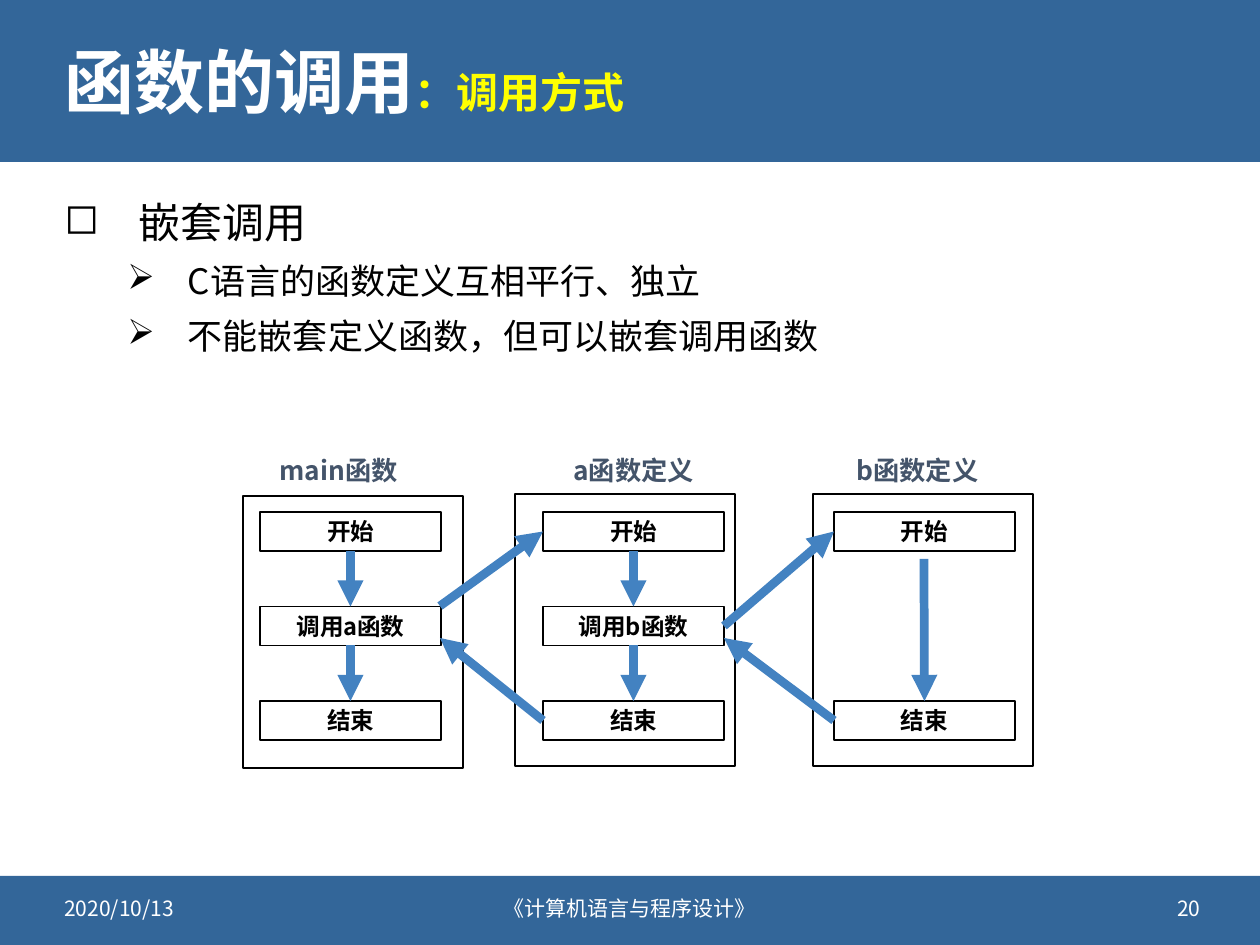
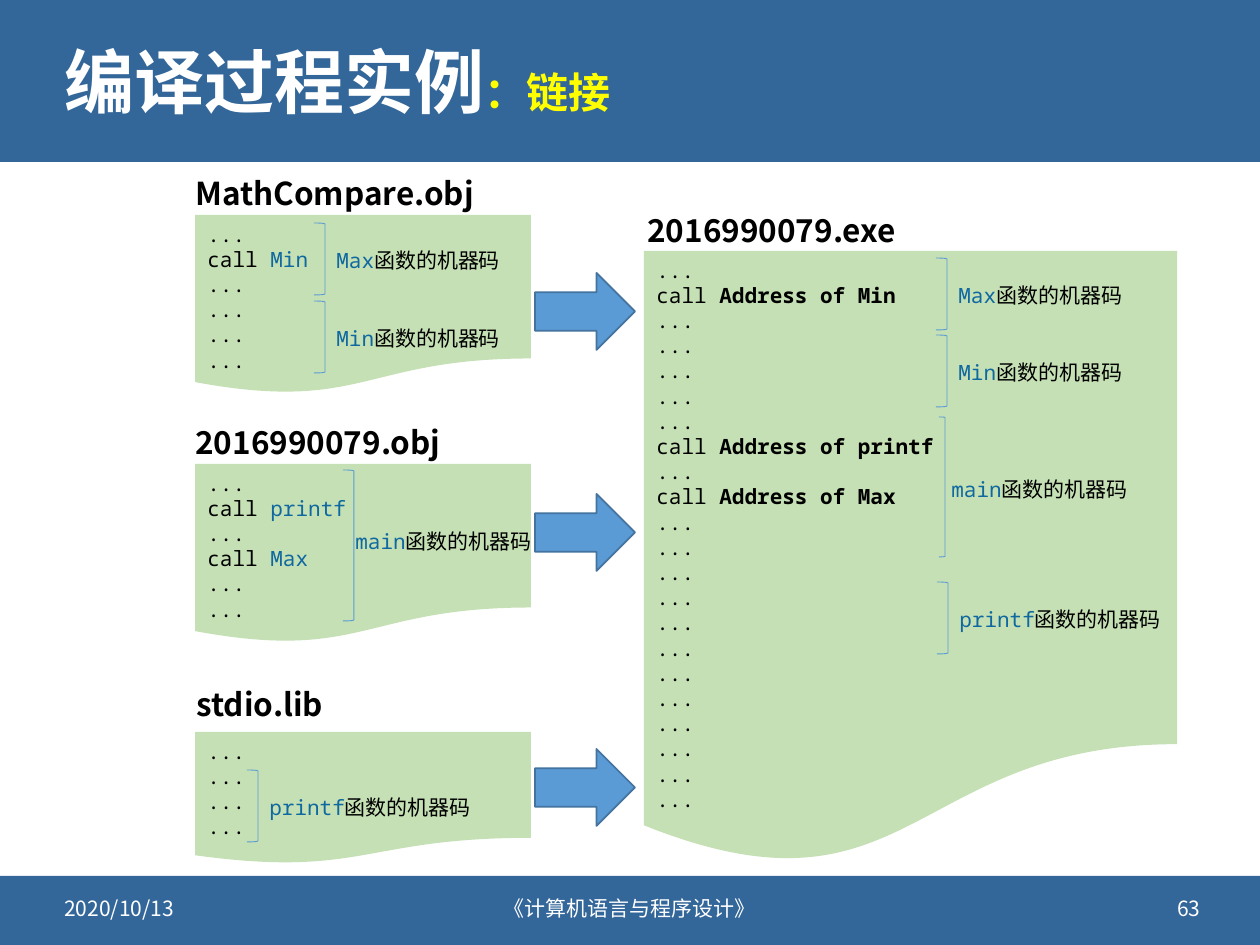
from typing import NamedTuple

from lxml.etree import SubElement
from pptx import Presentation
from pptx.dml.color import RGBColor
from pptx.enum.shapes import MSO_CONNECTOR, MSO_SHAPE
from pptx.enum.text import MSO_ANCHOR, PP_ALIGN
from pptx.oxml.ns import qn
from pptx.util import Inches, Pt

SANS = "Noto Sans CJK SC"
MONO = "Noto Sans Mono"

WHITE = RGBColor(0xFF, 0xFF, 0xFF)
BLACK = RGBColor(0x00, 0x00, 0x00)
YELLOW = RGBColor(0xFF, 0xFF, 0x00)
BAND_BLUE = RGBColor(0x33, 0x66, 0x99)
SLATE = RGBColor(0x44, 0x54, 0x6A)
FLOW_BLUE = RGBColor(0x43, 0x82, 0xC1)
SKY = RGBColor(0x5B, 0x9B, 0xD5)
SKY_EDGE = RGBColor(0x43, 0x73, 0x9E)
PAPER_GREEN = RGBColor(0xC5, 0xE0, 0xB4)
SYMBOL_BLUE = RGBColor(0x0F, 0x68, 0xA0)

TOP, LEFT, BOTTOM, RIGHT = range(4)


class Style(NamedTuple):
    size: float
    colour: RGBColor = BLACK
    font: str = SANS
    bold: bool = False


TITLE = Style(40, WHITE, bold=True)
SUBTITLE = Style(24, YELLOW, bold=True)
FOOTER = Style(12, WHITE)
STEP = Style(13.5, bold=True)
COLUMN_HEAD = Style(15, SLATE, bold=True)
FILE_NAME = Style(18, bold=True)
CODE = Style(12, font=MONO)
SYMBOL = Style(12, SYMBOL_BLUE, MONO)
ADDRESS = Style(12, font=MONO, bold=True)
NOTE = Style(12)


def px(length):
    return round(length * 914400 / 126)


class Deck:
    def __init__(self):
        self.presentation = Presentation()
        self.presentation.slide_width = Inches(10)
        self.presentation.slide_height = Inches(7.5)
        self.layout = self.presentation.slide_layouts[5]
        self.slide = None

    def new_slide(self, topic, aspect, number):
        self.slide = self.presentation.slides.add_slide(self.layout)
        if len(self.presentation.slides) == 1:
            self.add_bands()
        title = self.slide.shapes.title
        title.left, title.top, title.width, title.height = map(px, (52, 23, 1158, 125))
        self.fill_text(title, [[(topic, TITLE), (aspect, SUBTITLE)]],
                       anchor=MSO_ANCHOR.MIDDLE, spacing=0.9)
        for x, width, words, align in (
                (52, 302, "2020/10/13", PP_ALIGN.LEFT),
                (403, 454, "《计算机语言与程序设计》", PP_ALIGN.CENTER),
                (911, 302, str(number), PP_ALIGN.RIGHT)):
            self.label((x, 883, width, 50), [(words, FOOTER)], align, MSO_ANCHOR.MIDDLE)

    def add_bands(self):
        """Place both bands in the layout, behind its placeholders."""
        for number, (y, height) in enumerate(((0, 162), (876, 69))):
            band = self.shape(MSO_SHAPE.RECTANGLE, (0, y, 1260, height), BAND_BLUE)
            band.element.xpath(".//p:cNvPr")[0].set("id", str(100 + number))
            self.layout.shapes.element.insert(2 + number, band.element)

    def fill_text(self, shape, lines, align=PP_ALIGN.LEFT, anchor=MSO_ANCHOR.TOP,
                  spacing=None, wrap=True):
        """Fill a shape with lines, each a list of (words, style) runs."""
        frame = shape.text_frame
        frame.word_wrap = wrap
        frame.vertical_anchor = anchor
        for index, line in enumerate(lines):
            paragraph = frame.add_paragraph() if index else frame.paragraphs[0]
            paragraph.alignment = align
            if spacing:
                paragraph.line_spacing = spacing
            for words, style in line:
                run = paragraph.add_run()
                run.text = words
                run.font.size = Pt(style.size)
                run.font.bold = style.bold
                run.font.color.rgb = style.colour
                run.font.name = style.font
        for latin in list(shape.element.iter(qn("a:latin"))):
            east_asian = SubElement(latin.getparent(), qn("a:ea"))
            east_asian.set("typeface", latin.get("typeface"))
            latin.addnext(east_asian)

    def label(self, box, runs, align=PP_ALIGN.LEFT, anchor=MSO_ANCHOR.TOP, **options):
        text_box = self.slide.shapes.add_textbox(*map(px, box))
        self.fill_text(text_box, [runs], align, anchor, **options)

    def shape(self, kind, box, fill=None, line=None, weight=1):
        shape = self.slide.shapes.add_shape(kind, *map(px, box))
        shape.shadow.inherit = False
        if fill is None:
            shape.fill.background()
        else:
            shape.fill.solid()
            shape.fill.fore_color.rgb = fill
        if line is None:
            shape.line.fill.background()
        else:
            shape.line.color.rgb = line
            shape.line.width = Pt(weight)
        return shape

    def arrow(self, start, end):
        """Draw an arrow; each end is a point (x, y) or a pair (shape, site)."""
        arrow = self.slide.shapes.add_connector(MSO_CONNECTOR.STRAIGHT, 0, 0, 0, 0)
        if isinstance(start[0], int):
            arrow.begin_x, arrow.begin_y = map(px, start)
        else:
            arrow.begin_connect(*start)
        if isinstance(end[0], int):
            arrow.end_x, arrow.end_y = map(px, end)
        else:
            arrow.end_connect(*end)
        arrow.line.color.rgb = FLOW_BLUE
        arrow.line.width = Pt(5)
        properties = arrow.element.spPr
        SubElement(properties.find(qn("a:ln")), qn("a:tailEnd")).set("type", "triangle")
        SubElement(properties, qn("a:effectLst"))

    def bullets(self, box, items):
        """Add a bullet list from (level, words) items."""
        levels = ((0.59, 0.59, "◻", 24, 1.1), (0.98, 0.48, "➢", 20, 0.9))
        outline = self.slide.shapes.add_textbox(*map(px, box))
        self.fill_text(outline, [[(words, Style(levels[level][3]))] for level, words in items])
        for index, (paragraph, (level, _)) in enumerate(
                zip(outline.text_frame.paragraphs, items)):
            margin, hanging, mark, _, spacing = levels[level]
            paragraph.level = level
            properties = paragraph._p.get_or_add_pPr()
            properties.set("marL", str(Inches(margin)))
            properties.set("indent", str(-Inches(hanging)))
            colour = SubElement(properties, qn("a:buClr"))
            SubElement(colour, qn("a:srgbClr")).set("val", str(BLACK))
            SubElement(properties, qn("a:buChar")).set("char", mark)
            paragraph.line_spacing = spacing
            if index:
                paragraph.space_before = Pt(10)

    def step(self, x, row, words):
        box = self.shape(MSO_SHAPE.RECTANGLE, (x, 512 + 94.5 * row, 181, 39), line=BLACK)
        self.fill_text(box, [[(words, STEP)]], PP_ALIGN.CENTER, MSO_ANCHOR.MIDDLE, wrap=False)
        return box

    def code_file(self, name, name_box, sheet_box, code, target_style):
        sheet = self.shape(MSO_SHAPE.FLOWCHART_DOCUMENT, sheet_box, PAPER_GREEN)
        lines = []
        for line in code:
            if line.startswith("call "):
                lines.append([("call ", CODE), (line[len("call "):], target_style)])
            else:
                lines.append([(line, CODE)])
        self.fill_text(sheet, lines)
        self.label(name_box, [(name, FILE_NAME)])

    def machine_code(self, function, x, y, width=11, height=72, dx=10, dy=18):
        """Bracket the lines of a function and name them beside the bracket."""
        self.shape(MSO_SHAPE.RIGHT_BRACKET, (x, y, width, height), line=SKY, weight=0.5)
        self.label((x + dx, y + dy, int(153 + 12.5 * len(function)), 38),
                   [(function, SYMBOL), ("函数的机器码", NOTE)])


def nested_call_slide(deck):
    deck.new_slide("函数的调用", "：调用方式", 20)
    deck.bullets((52, 185, 1158, 665), [
        (0, "嵌套调用"),
        (1, "C语言的函数定义互相平行、独立"),
        (1, "不能嵌套定义函数，但可以嵌套调用函数"),
    ])
    functions = (
        ("main函数", (267, PP_ALIGN.LEFT), (243, 496), 260, ("开始", "调用a函数", "结束")),
        ("a函数定义", (543, PP_ALIGN.CENTER), (515, 494), 543, ("开始", "调用b函数", "结束")),
        ("b函数定义", (827, PP_ALIGN.CENTER), (813, 494), 834, ("开始", None, "结束")),
    )
    columns = []
    for heading, (heading_x, align), frame, step_x, steps in functions:
        deck.shape(MSO_SHAPE.RECTANGLE, (*frame, 220, 272), line=BLACK, weight=1.5)
        deck.label((heading_x, 456, 181, 32), [(heading, COLUMN_HEAD)], align,
                   MSO_ANCHOR.MIDDLE, spacing=0.9)
        columns.append([deck.step(step_x, row, words)
                        for row, words in enumerate(steps) if words])

    main_steps, a_steps, b_steps = columns
    for steps in (main_steps, a_steps):
        for upper, lower in zip(steps, steps[1:]):
            deck.arrow((upper, BOTTOM), (lower, TOP))
    deck.arrow((924, 559), (b_steps[-1], TOP))
    deck.arrow((440, 606), (a_steps[0], LEFT))
    deck.arrow((a_steps[1], RIGHT), (b_steps[0], LEFT))
    deck.arrow((b_steps[-1], LEFT), (724, 638))
    deck.arrow((a_steps[-1], LEFT), (440, 638))


def linking_slide(deck):
    deck.new_slide("编译过程实例", "：链接", 63)
    gap = "..."
    deck.code_file("MathCompare.obj", (183, 168, 314, 50), (195, 215, 336, 179),
                   [gap, "call Min"] + [gap] * 4, SYMBOL)
    deck.code_file("2016990079.obj", (183, 417, 280, 50), (195, 464, 336, 179),
                   [gap, "call printf", gap, "call Max", gap, gap], SYMBOL)
    deck.code_file("stdio.lib", (184, 679, 155, 50), (195, 732, 336, 132),
                   [gap] * 4, SYMBOL)
    deck.code_file("2016990079.exe", (635, 205, 286, 50), (644, 251, 533, 615),
                   [gap, "call Address of Min"] + [gap] * 5
                   + ["call Address of printf", gap, "call Address of Max"] + [gap] * 12,
                   ADDRESS)

    for function, x, y in (("Max", 314, 223), ("Min", 314, 301), ("printf", 247, 770),
                           ("Max", 936, 258), ("Min", 936, 335), ("printf", 937, 582)):
        deck.machine_code(function, x, y)
    deck.machine_code("main", 343, 470, height=151, dx=0, dy=52)
    deck.machine_code("main", 939, 417, width=6, height=140, dx=0, dy=53)

    for y in (273, 494, 749):
        deck.shape(MSO_SHAPE.RIGHT_ARROW, (535, y, 100, 77), SKY, SKY_EDGE)


def main():
    deck = Deck()
    nested_call_slide(deck)
    linking_slide(deck)
    deck.presentation.save("out.pptx")


if __name__ == "__main__":
    main()
